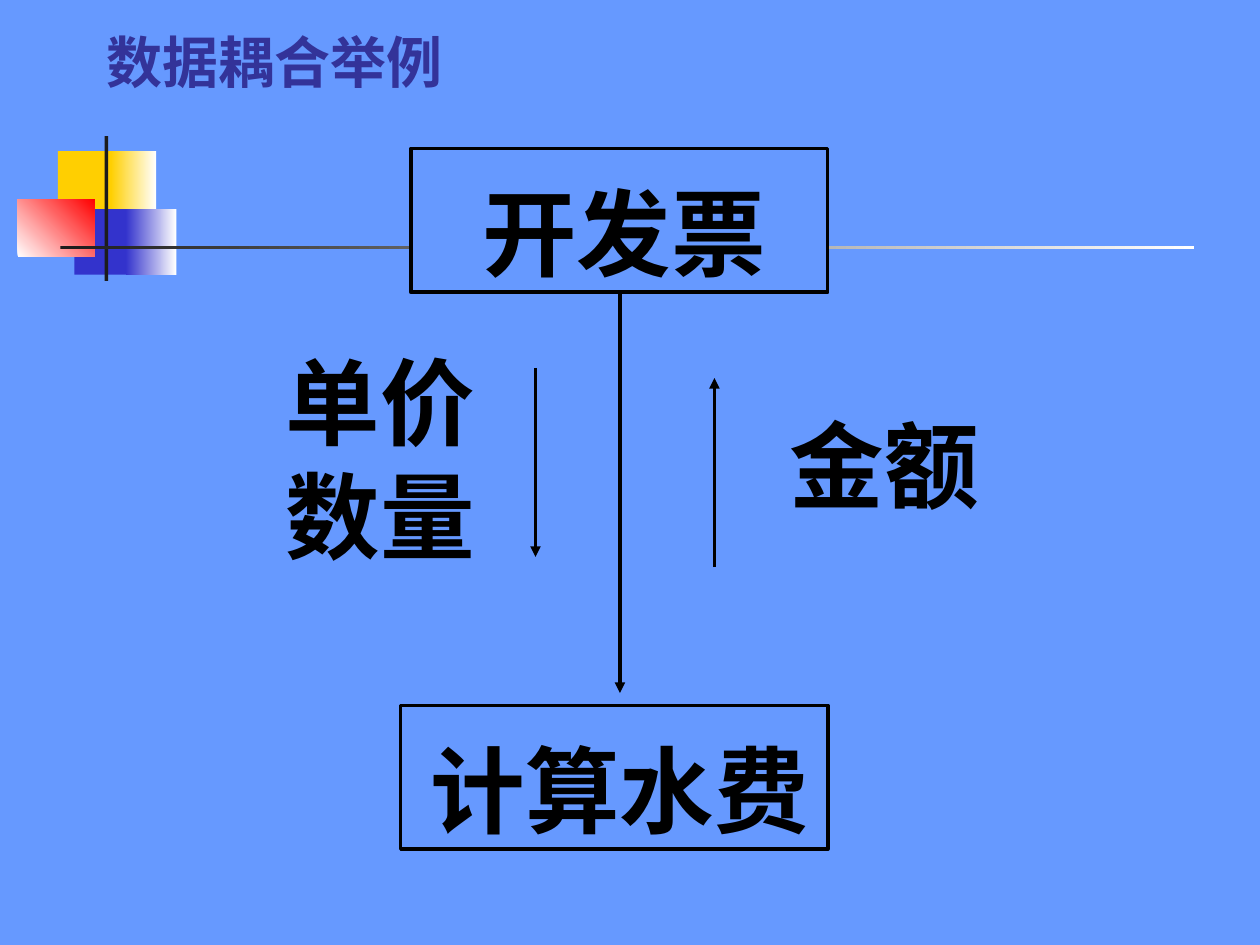
from lxml.etree import SubElement
from pptx import Presentation
from pptx.dml.color import RGBColor
from pptx.enum.shapes import MSO_CONNECTOR, MSO_SHAPE
from pptx.enum.text import MSO_ANCHOR, MSO_AUTO_SIZE
from pptx.oxml.ns import qn
from pptx.util import Inches, Pt

FONT = "Noto Sans CJK SC"
BACKGROUND = RGBColor(0x66, 0x99, 0xFF)
BLACK = RGBColor(0x00, 0x00, 0x00)
WHITE = RGBColor(0xFF, 0xFF, 0xFF)
YELLOW = RGBColor(0xFF, 0xCF, 0x01)
BLUE = RGBColor(0x33, 0x33, 0xCC)
RED = RGBColor(0xFF, 0x00, 0x00)
CHARCOAL = RGBColor(0x1C, 0x1C, 0x1C)
TITLE_BLUE = RGBColor(0x33, 0x33, 0x99)

presentation = Presentation()
presentation.slide_width = Inches(10)
presentation.slide_height = Inches(7.5)
slide = presentation.slides.add_slide(presentation.slide_layouts[6])
slide.background.fill.solid()
slide.background.fill.fore_color.rgb = BACKGROUND


def add_rectangle(left, top, width, height, colors, angle=0):
    shape = slide.shapes.add_shape(
        MSO_SHAPE.RECTANGLE, Inches(left), Inches(top), Inches(width), Inches(height)
    )
    shape.shadow.inherit = False
    shape.line.fill.background()
    if len(colors) == 1:
        shape.fill.solid()
        shape.fill.fore_color.rgb = colors[0]
    else:
        shape.fill.gradient()
        shape.fill.gradient_angle = angle
        for stop, color, position in zip(shape.fill.gradient_stops, colors, (0, 1)):
            stop.color.rgb = color
            stop.position = position
    return shape


def add_text(text, left, top, width, height, size=54, color=BLACK, wrap=True,
             anchor=MSO_ANCHOR.TOP, grow=True, line_spacing=Pt(65),
             inset_top=0.12, inset_bottom=0):
    box = slide.shapes.add_textbox(Inches(left), Inches(top), Inches(width), Inches(height))
    frame = box.text_frame
    frame.word_wrap = wrap
    frame.auto_size = MSO_AUTO_SIZE.SHAPE_TO_FIT_TEXT if grow else MSO_AUTO_SIZE.NONE
    frame.vertical_anchor = anchor
    frame.margin_top = Inches(inset_top)
    frame.margin_bottom = Inches(inset_bottom)
    frame.text = text
    for paragraph in frame.paragraphs:
        paragraph.line_spacing = line_spacing
        run = paragraph.runs[0]
        run.font.size = Pt(size)
        run.font.bold = True
        run.font.color.rgb = color
        run.font.name = FONT
        SubElement(run._r.get_or_add_rPr(), qn("a:ea")).set("typeface", FONT)


for left, top, width, height, colors, angle in [
    (0.46, 1.2, 0.48, 0.52, [YELLOW], 0),
    (0.88, 1.2, 0.36, 0.52, [YELLOW, WHITE], 0),
    (0.59, 1.66, 0.46, 0.52, [BLUE], 0),
    (1, 1.66, 0.4, 0.52, [BLUE, WHITE], 0),
    (0.14, 1.58, 0.61, 0.46, [WHITE, RED], 45),
    (0.83, 1.08, 0.03, 1.15, [CHARCOAL], 0),
    (0.48, 1.95, 9, 0.03, [CHARCOAL, WHITE], 0),
]:
    add_rectangle(left, top, width, height, colors, angle)

add_text("数据耦合举例", 0.75, 0.06, 8.5, 0.85, size=32, color=TITLE_BLUE,
         anchor=MSO_ANCHOR.MIDDLE, grow=False, line_spacing=None,
         inset_top=0.05, inset_bottom=0.05)

for left, top, width in [(3.26, 1.18, 3.31), (3.18, 5.6, 3.39)]:
    module = add_rectangle(left, top, width, 1.14, [BACKGROUND])
    module.line.color.rgb = BLACK
    module.line.width = Pt(2)

for x, start, end in [(4.92, 2.33, 5.5), (4.25, 2.92, 4.42), (5.67, 4.5, 3)]:
    arrow = slide.shapes.add_connector(
        MSO_CONNECTOR.STRAIGHT, Inches(x), Inches(start), Inches(x), Inches(end)
    )
    arrow.line.color.rgb = BLACK
    arrow.line.width = Pt(2)
    SubElement(arrow.line._get_or_add_ln(), qn("a:tailEnd")).set("type", "triangle")
    SubElement(arrow._element.spPr, qn("a:effectLst"))

add_text("开发票", 3.73, 1.27, 2.45, 1, wrap=False)
add_text("计算水费", 3.32, 5.69, 3.2, 1, wrap=False)
add_text("单价\n数量", 2.17, 2.61, 1.92, 1.9)
add_text("金额", 6.17, 3.11, 1.75, 1)

presentation.save("out.pptx")
